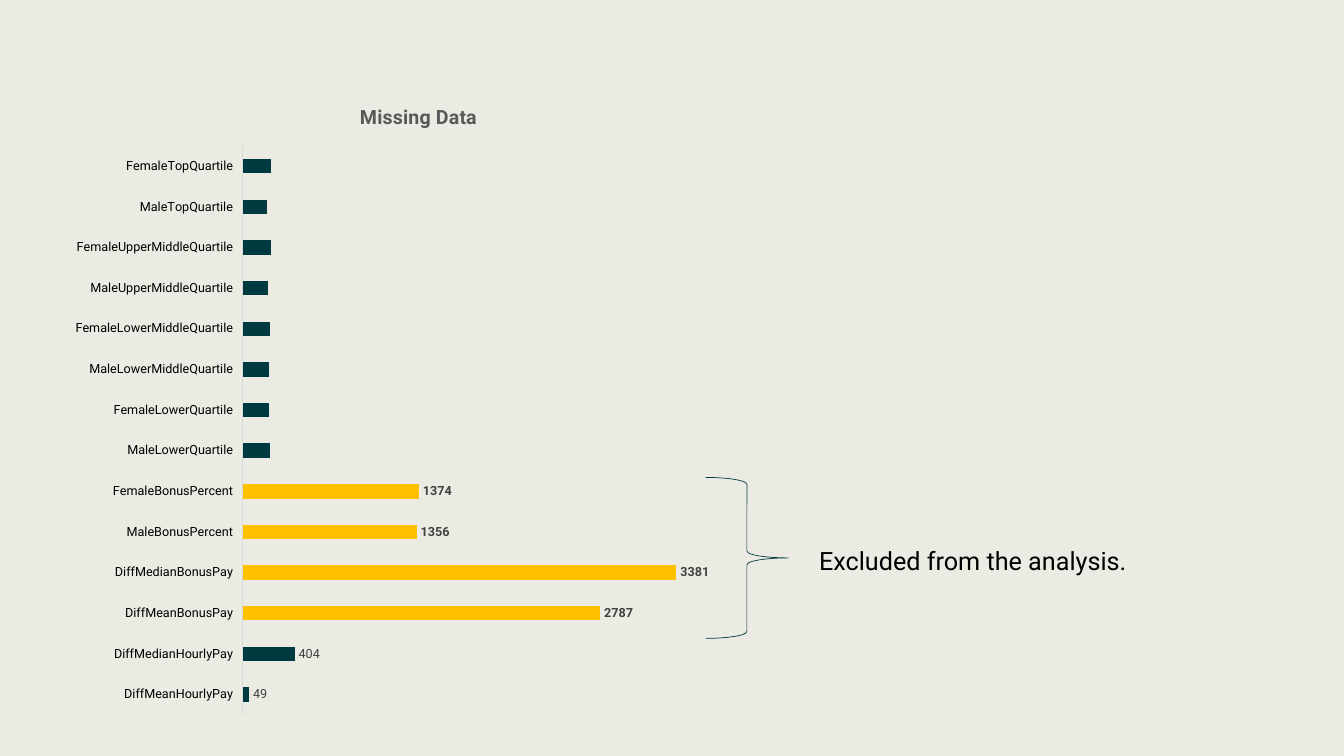
from pptx import Presentation
from pptx.chart.data import CategoryChartData
from pptx.dml.color import RGBColor
from pptx.enum.chart import XL_CHART_TYPE, XL_LABEL_POSITION, XL_TICK_LABEL_POSITION, XL_TICK_MARK
from pptx.enum.shapes import MSO_SHAPE
from pptx.enum.text import MSO_AUTO_SIZE
from pptx.oxml import parse_xml
from pptx.oxml.ns import nsdecls, qn
from pptx.util import Pt

BACKGROUND = RGBColor(0xEC, 0xEB, 0xE3)
TEAL = RGBColor(0x00, 0x3A, 0x41)
AMBER = RGBColor(0xFF, 0xC0, 0x00)
BLACK = RGBColor(0x00, 0x00, 0x00)
DARK_GREY = RGBColor(0x40, 0x40, 0x40)
TITLE_GREY = RGBColor(0x59, 0x59, 0x59)
AXIS_GREY = RGBColor(0xD9, 0xD9, 0xD9)
FONT = "Roboto"

MISSING = {
    "DiffMeanHourlyPay": 49,
    "DiffMedianHourlyPay": 404,
    "DiffMeanBonusPay": 2787,
    "DiffMedianBonusPay": 3381,
    "MaleBonusPercent": 1356,
    "FemaleBonusPercent": 1374,
    "MaleLowerQuartile": 212,
    "FemaleLowerQuartile": 205,
    "MaleLowerMiddleQuartile": 203,
    "FemaleLowerMiddleQuartile": 215,
    "MaleUpperMiddleQuartile": 197,
    "FemaleUpperMiddleQuartile": 222,
    "MaleTopQuartile": 190,
    "FemaleTopQuartile": 223,
}


def set_font(font, size, color, bold=False):
    font.name = FONT
    font.size = Pt(size)
    font.bold = bold
    font.color.rgb = color


def set_plot_layout(chart, x, y, w, h):
    plot_area = chart._chartSpace.chart.plotArea
    for layout in plot_area.findall(qn("c:layout")):
        plot_area.remove(layout)
    sizes = "".join(f'<c:{k} val="{v}"/>' for k, v in zip("xywh", (x, y, w, h)))
    plot_area.insert(0, parse_xml(
        f'<c:layout {nsdecls("c")}><c:manualLayout><c:layoutTarget val="inner"/>'
        f'<c:xMode val="edge"/><c:yMode val="edge"/>{sizes}</c:manualLayout></c:layout>'))


def hide_label(labels, idx):
    parent = labels._element
    parent.insert(len(parent.findall(qn("c:dLbl"))), parse_xml(
        f'<c:dLbl {nsdecls("c")}><c:idx val="{idx}"/><c:delete val="1"/></c:dLbl>'))


def format_series(series):
    series.format.fill.solid()
    series.format.fill.fore_color.rgb = TEAL
    labels = series.data_labels
    labels.show_value = True
    labels.position = XL_LABEL_POSITION.OUTSIDE_END
    set_font(labels.font, 9, DARK_GREY)
    for idx, name in enumerate(MISSING):
        if "Bonus" in name:
            point = series.points[idx]
            point.format.fill.solid()
            point.format.fill.fore_color.rgb = AMBER
            set_font(point.data_label.font, 9, DARK_GREY, True)
            point.data_label.position = XL_LABEL_POSITION.OUTSIDE_END
        elif "Quartile" in name:
            hide_label(labels, idx)


def add_bar_chart(s, x, y, w, h):
    data = CategoryChartData()
    data.categories = list(MISSING)
    data.add_series("Series 1", list(MISSING.values()))
    chart = s.shapes.add_chart(
        XL_CHART_TYPE.BAR_CLUSTERED, Pt(x), Pt(y), Pt(w), Pt(h), data).chart
    set_font(chart.font, 10, BLACK)
    chart.has_legend = False
    chart.has_title = True
    r = chart.chart_title.text_frame.paragraphs[0].add_run()
    r.text = "Missing Data"
    set_font(r.font, 14, TITLE_GREY, True)
    set_plot_layout(chart, 0.25, 0.1, 0.73, 0.88)

    axis = chart.category_axis
    axis.major_tick_mark = XL_TICK_MARK.NONE
    axis.tick_label_position = XL_TICK_LABEL_POSITION.LOW
    axis.format.line.color.rgb = AXIS_GREY
    axis.format.line.width = Pt(0.75)
    set_font(axis.tick_labels.font, 9, BLACK)
    chart.value_axis.visible = False
    chart.value_axis.has_major_gridlines = False
    chart.value_axis.minimum_scale = 0
    chart.value_axis.maximum_scale = 4000

    plot = chart.plots[0]
    plot.gap_width = 182
    plot.vary_by_categories = False
    format_series(plot.series[0])


def add_note(s, text, x, y, w, h):
    tf = s.shapes.add_textbox(Pt(x), Pt(y), Pt(w), Pt(h)).text_frame
    tf.word_wrap = True
    tf.auto_size = MSO_AUTO_SIZE.SHAPE_TO_FIT_TEXT
    p = tf.paragraphs[0]
    p.line_spacing = 1.15
    p.space_after = Pt(8)
    r = p.add_run()
    r.text = text
    set_font(r.font, 18, BLACK)


def add_brace(s, x, y, w, h):
    sp = s.shapes.add_shape(MSO_SHAPE.RIGHT_BRACE, Pt(x), Pt(y), Pt(w), Pt(h))
    sp.shadow.inherit = False
    sp.fill.background()
    sp.line.color.rgb = TEAL
    sp.line.width = Pt(0.5)


def main():
    prs = Presentation()
    prs.slide_width = Pt(960)
    prs.slide_height = Pt(540)
    s = prs.slides.add_slide(prs.slide_layouts[6])
    s.background.fill.solid()
    s.background.fill.fore_color.rgb = BACKGROUND
    add_bar_chart(s, 48, 58, 502, 462)
    add_note(s, "Excluded from the analysis.", 578, 383, 380, 31)
    add_brace(s, 504, 341, 59, 115)
    prs.save("out.pptx")


if __name__ == "__main__":
    main()
